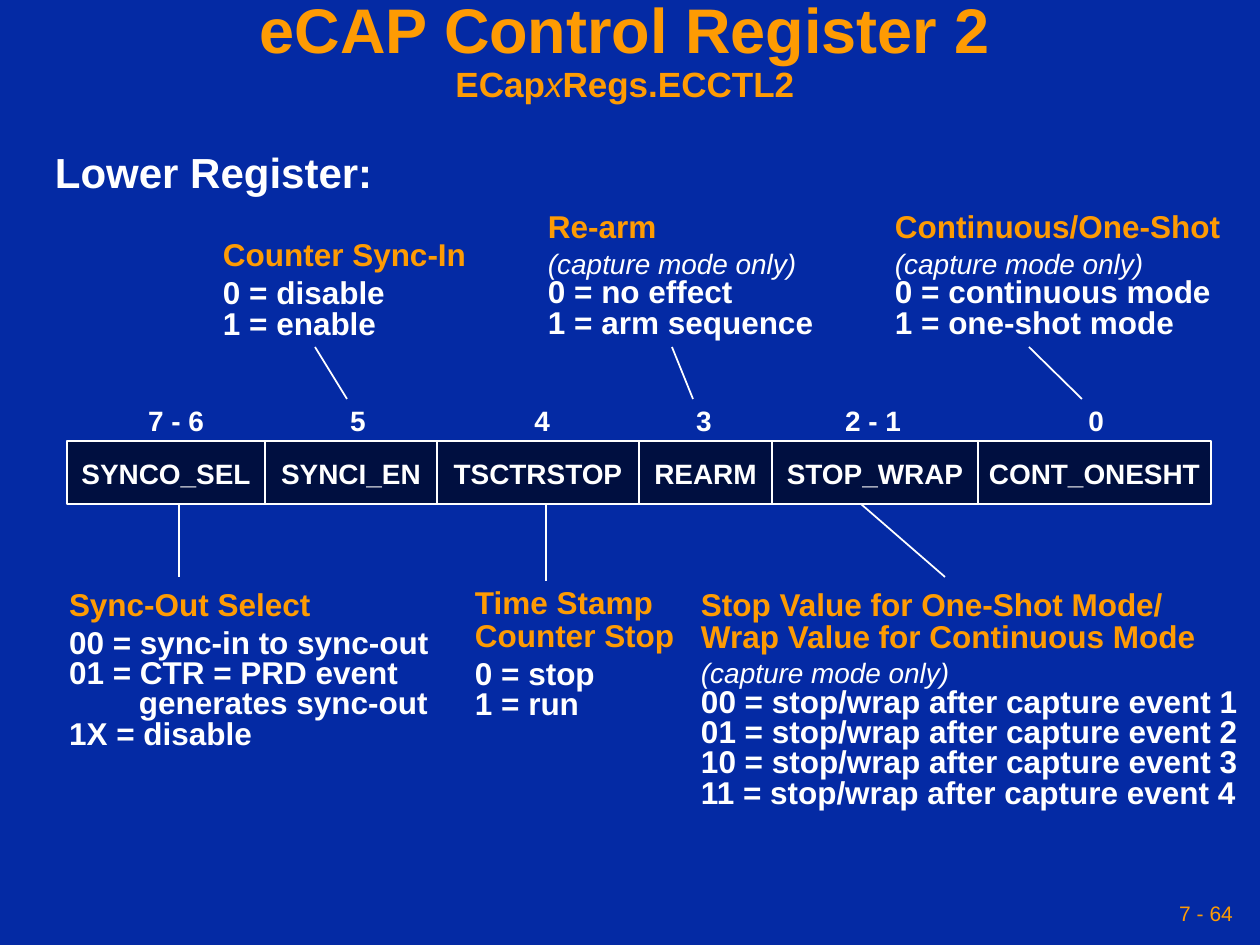
from lxml import etree
from pptx import Presentation
from pptx.dml.color import RGBColor
from pptx.enum.shapes import MSO_CONNECTOR, MSO_SHAPE
from pptx.enum.text import MSO_ANCHOR, MSO_AUTO_SIZE, PP_ALIGN
from pptx.oxml.ns import qn
from pptx.util import Emu, Pt

LEFT, CENTER, RIGHT = PP_ALIGN.LEFT, PP_ALIGN.CENTER, PP_ALIGN.RIGHT
TOP, MIDDLE = MSO_ANCHOR.TOP, MSO_ANCHOR.MIDDLE
RECTANGLE, STRAIGHT = MSO_SHAPE.RECTANGLE, MSO_CONNECTOR.STRAIGHT
NO_FIT = MSO_AUTO_SIZE.NONE

BLUE = RGBColor(0x04, 0x2A, 0xA4)
NAVY = RGBColor(0x00, 0x0F, 0x40)
ORANGE = RGBColor(0xFE, 0x9B, 0x03)
WHITE = RGBColor(0xFF, 0xFF, 0xFF)
FONT = "Arial"

PX_PER_INCH = 126
SLIDE_W, SLIDE_H = 1260, 945

# field name, bit label, left edge of the cell, centre of the bit label
FIELDS = [
    ("SYNCO_SEL", "7 - 6", 67, 176),
    ("SYNCI_EN", "5", 265, 358),
    ("TSCTRSTOP", "4", 437, 542),
    ("REARM", "3", 639, 704),
    ("STOP_WRAP", "2 - 1", 772, 873),
    ("CONT_ONESHT", "0", 978, 1096),
]
BAR_RIGHT, BAR_TOP, BAR_BOTTOM = 1211, 441, 504
BITS_TOP, NAMES_TOP, LABEL_H = 404, 457, 40

CAPTURE_ONLY = "(capture mode only)"
# box (left, top, width, height), heading lines, note, values
CALLOUTS = [
    ((210, 236, 268, 112), ["Counter Sync-In"], None,
     ["0 = disable", "1 = enable"]),
    ((535, 208, 290, 139), ["Re-arm"], CAPTURE_ONLY,
     ["0 = no effect", "1 = arm sequence"]),
    ((882, 208, 350, 139), ["Continuous/One-Shot"], CAPTURE_ONLY,
     ["0 = continuous mode", "1 = one-shot mode"]),
    ((56, 585, 384, 173), ["Sync-Out Select"], None,
     ["00 = sync-in to sync-out", "01 = CTR = PRD event",
      ("generates sync-out", 70), "1X = disable"]),
    ((462, 585, 224, 142), ["Time Stamp", "Counter Stop"], None,
     ["0 = stop", "1 = run"]),
    ((688, 585, 562, 232),
     ["Stop Value for One-Shot Mode/", "Wrap Value for Continuous Mode"],
     CAPTURE_ONLY,
     [f"{n:02b} = stop/wrap after capture event {n + 1}" for n in range(4)]),
]

LEADERS = [
    (315, 347, 347, 399), (672, 347, 693, 399), (1029, 347, 1082, 399),
    (179, BAR_BOTTOM, 179, 577), (546, BAR_BOTTOM, 546, 581),
    (861, BAR_BOTTOM, 945, 577),
]


def px(n):
    return Emu(round(n * 914400 / PX_PER_INCH))


def add_run(p, text, size=18, color=WHITE, bold=True, italic=False):
    r = p.add_run()
    r.text = text
    r.font.name, r.font.size = FONT, Pt(size)
    r.font.bold, r.font.italic = bold, italic
    r.font.color.rgb = color


def setup_frame(tf, anchor=TOP, side=13, wrap=False):
    tf.auto_size, tf.word_wrap, tf.vertical_anchor = NO_FIT, wrap, anchor
    tf.margin_left = tf.margin_right = px(side)
    tf.margin_top = tf.margin_bottom = px(6)


def add_text(box, lines, anchor=TOP, align=LEFT, spacing=0.8, side=13):
    """Each line is a dict: text, optional indent, before and after, run format."""
    tf = slide.shapes.add_textbox(*map(px, box)).text_frame
    setup_frame(tf, anchor, side)
    for i, line in enumerate(lines):
        fmt = dict(line)
        p = tf.add_paragraph() if i else tf.paragraphs[0]
        p.alignment, p.line_spacing = align, spacing
        p.space_before = Pt(fmt.pop("before", 0))
        p.space_after = Pt(fmt.pop("after", 0))
        indent = fmt.pop("indent", 0)
        if indent:
            p._p.get_or_add_pPr().set("marL", str(px(indent)))
        add_run(p, **fmt)


def add_line(x1, y1, x2, y2):
    line = slide.shapes.add_connector(STRAIGHT, *map(px, (x1, y1, x2, y2)))
    line.line.color.rgb, line.line.width = WHITE, Pt(1)
    etree.SubElement(line._element.spPr, qn("a:effectLst"))
    return line


def add_title():
    title = slide.shapes.title
    title.left, title.top, title.width, title.height = map(px, (0, 0, 1250, 105))
    tf = title.text_frame
    setup_frame(tf, MIDDLE, side=6, wrap=True)
    p = tf.paragraphs[0]
    p.alignment, p.line_spacing = CENTER, 0.9
    add_run(p, "eCAP Control Register 2", size=36, color=ORANGE)
    p.add_line_break()
    add_run(p, "ECap", size=20, color=ORANGE)
    add_run(p, "x", size=20, color=ORANGE, bold=False, italic=True)
    add_run(p, "Regs.ECCTL2", size=20, color=ORANGE)


def add_register():
    edges = [left for _, _, left, _ in FIELDS] + [BAR_RIGHT]
    width = BAR_RIGHT - edges[0]
    bar = slide.shapes.add_shape(
        RECTANGLE, *map(px, (edges[0], BAR_TOP, width, BAR_BOTTOM - BAR_TOP)))
    bar.shadow.inherit = False
    bar.fill.solid()
    bar.fill.fore_color.rgb = NAVY
    bar.line.color.rgb, bar.line.width = WHITE, Pt(1)

    for x in edges[1:-1]:
        divider = add_line(x, BAR_TOP, x, BAR_BOTTOM)
        if x == edges[0] + width // 2:
            divider.begin_connect(bar, 0)
            divider.end_connect(bar, 2)

    for (name, bits, left, bit_x), right in zip(FIELDS, edges[1:]):
        add_text((left, NAMES_TOP, right - left, LABEL_H),
                 [dict(text=name, size=16)], align=CENTER)
        add_text((bit_x - 40, BITS_TOP, 80, LABEL_H),
                 [dict(text=bits, size=16)], align=CENTER)


def add_callout(box, headings, note, values):
    lines = [dict(text=h, color=ORANGE, before=1.1 if i else 0)
             for i, h in enumerate(headings)]
    lines[-1]["after"] = 4.5
    if note:
        lines.append(dict(text=note, size=16, bold=False, italic=True))
    for value in values:
        text, indent = value if isinstance(value, tuple) else (value, 0)
        lines.append(dict(text=text, indent=indent))
    add_text(box, lines, anchor=MIDDLE)


prs = Presentation()
prs.slide_width, prs.slide_height = px(SLIDE_W), px(SLIDE_H)
slide = prs.slides.add_slide(prs.slide_layouts[5])
slide.background.fill.solid()
slide.background.fill.fore_color.rgb = BLUE

add_title()
add_text((42, 150, 343, 53), [dict(text="Lower Register:", size=24)])
add_register()
for callout in CALLOUTS:
    add_callout(*callout)
for leader in LEADERS:
    add_line(*leader)
add_text((861, 892, 378, 42),
         [dict(text="7 - 64", size=12, color=ORANGE, bold=False)],
         anchor=MIDDLE, align=RIGHT, spacing=1.0, side=6)

prs.save("out.pptx")
